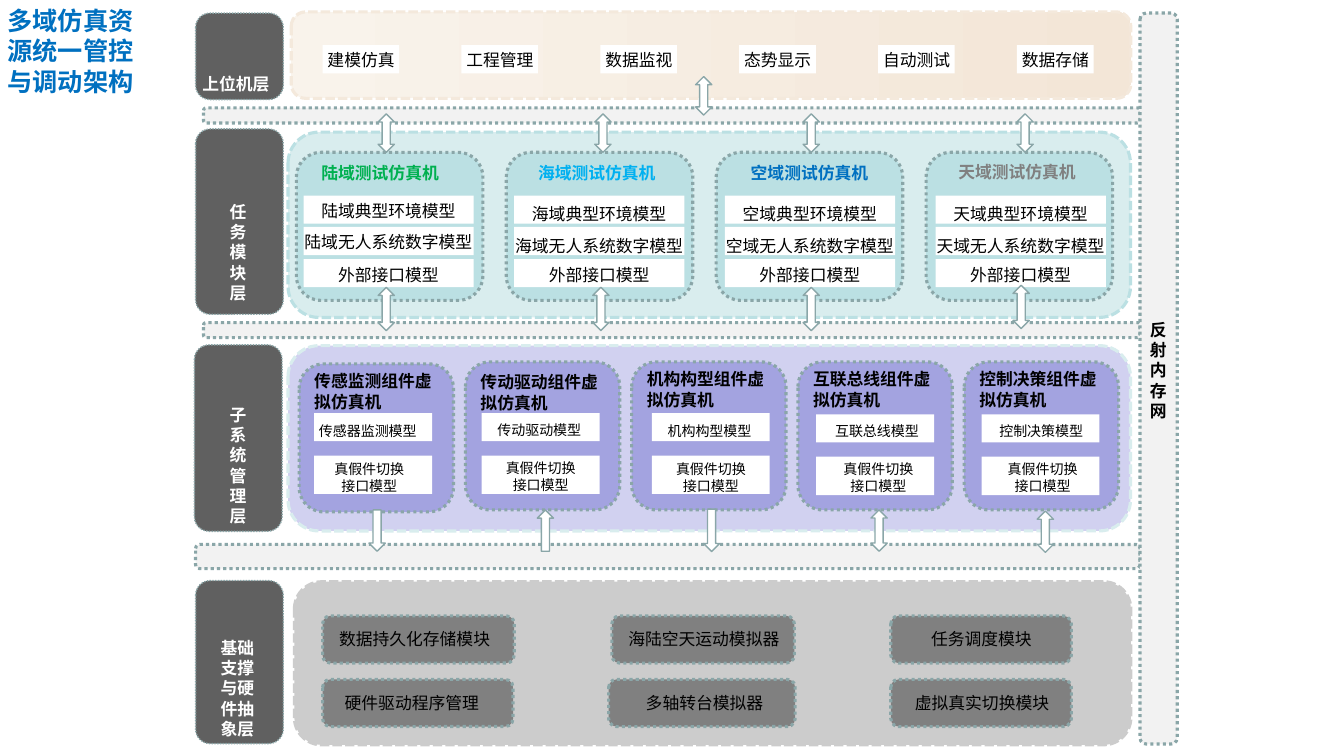
from dataclasses import dataclass
from lxml.etree import SubElement
from pptx import Presentation
from pptx.dml.color import RGBColor
from pptx.enum.dml import MSO_LINE
from pptx.enum.shapes import MSO_SHAPE
from pptx.enum.text import MSO_ANCHOR, PP_ALIGN
from pptx.oxml.ns import qn
from pptx.util import Cm, Pt

WHITE = RGBColor(0xFF, 0xFF, 0xFF)
BLACK = RGBColor(0x00, 0x00, 0x00)
BLUE = RGBColor(0x00, 0x70, 0xC0)
SKY = RGBColor(0x00, 0xB0, 0xF0)
GREEN = RGBColor(0x00, 0xB0, 0x50)
GREY = RGBColor(0x80, 0x80, 0x80)
SLATE = RGBColor(0x60, 0x60, 0x60)
SILVER = RGBColor(0xCC, 0xCC, 0xCC)
PALE = RGBColor(0xF2, 0xF2, 0xF2)
EDGE = RGBColor(0x8A, 0xA6, 0xA8)
TEAL = RGBColor(0xBB, 0xE0, 0xE3)
MIST = RGBColor(0xD9, 0xED, 0xEE)
LILAC = RGBColor(0xD1, 0xD1, 0xF0)
VIOLET = RGBColor(0xA3, 0xA3, 0xE0)
CREAM = RGBColor(0xF9, 0xF3, 0xEB)
SAND = RGBColor(0xF3, 0xE6, 0xD7)
TAN = RGBColor(0xF4, 0xE9, 0xDC)

HEAD, BODY = "Arial", "Noto Sans CJK SC"
ROUND, RECT = MSO_SHAPE.ROUNDED_RECTANGLE, MSO_SHAPE.RECTANGLE
DOWN, BOTH = MSO_SHAPE.DOWN_ARROW, MSO_SHAPE.UP_DOWN_ARROW
DOT, DASH = MSO_LINE.ROUND_DOT, MSO_LINE.SQUARE_DOT


@dataclass
class Area:
    """Left, top, width and height in centimetres."""
    x: float
    y: float
    w: float
    h: float

    def size(self) -> tuple:
        return Cm(self.x), Cm(self.y), Cm(self.w), Cm(self.h)


@dataclass
class Layer:
    side: Area
    band: Area
    fill: RGBColor
    edge: RGBColor
    label: Area
    lines: tuple


@dataclass
class Domain:
    name: str
    color: RGBColor
    x: float
    y: float
    drop: float  # text offset in the first row
    dip: float  # text offset in the second row


@dataclass
class Unit:
    name: str
    model: str
    top: float
    head: float
    box_x: float
    box_y: float
    text_x: float
    text_y: float


@dataclass
class Module:
    name: str
    x: float
    row: int
    w: float
    text_x: float
    text_w: float


@dataclass
class Arrow:
    x: float
    y: float
    h: float
    kind: MSO_SHAPE = BOTH
    turn: int = 0


def draw(slide, kind, area: Area, fill, edge=None, width=2.25, dash=DOT):
    shape = slide.shapes.add_shape(kind, *area.size())
    shape.shadow.inherit = False
    shape.fill.solid()
    shape.fill.fore_color.rgb = fill
    if edge is None:
        shape.line.fill.background()
    else:
        shape.line.color.rgb = edge
        shape.line.width = Pt(width)
        if dash is not None:
            shape.line.dash_style = dash
    return shape


def write(slide, area: Area, *lines: str, size=12, color=BLACK, bold=False,
          align=PP_ALIGN.CENTER, anchor=MSO_ANCHOR.TOP) -> None:
    frame = slide.shapes.add_textbox(*area.size()).text_frame
    frame.word_wrap = True
    frame.vertical_anchor = anchor
    for i, line in enumerate(lines):
        para = frame.add_paragraph() if i else frame.paragraphs[0]
        para.alignment = align
        para.line_spacing = Pt(round(size * 1.21, 1))
        run = para.add_run()
        run.text = line
        font = run.font
        font.size, font.bold = Pt(size), bold
        font.color.rgb = color
        font.name = HEAD if bold else BODY
        SubElement(run._r.get_or_add_rPr(), qn("a:ea"), typeface=font.name)


def title(slide, area: Area, *lines: str, color=BLACK) -> None:
    write(slide, area, *lines, color=color, bold=True, align=PP_ALIGN.LEFT)


LAYERS = [
    Layer(Area(4.93, 0.33, 2.21, 2.18), Area(7.34, 0.3, 21.16, 2.18), CREAM, TAN,
          Area(4.85, 1.73, 2.24, 0.76), ("上位机层",)),
    Layer(Area(4.93, 3.25, 2.21, 4.67), Area(7.26, 3.33, 21.23, 4.67), MIST, TEAL,
          Area(5.54, 4.95, 1.12, 2.24), ("任务模块", "层")),
    Layer(Area(4.9, 8.69, 2.21, 4.7), Area(7.26, 8.71, 21.23, 4.67), LILAC, MIST,
          Area(5.54, 10.06, 0.96, 3.35), ("子", "系统管", "理层")),
    Layer(Area(4.93, 14.63, 2.21, 4.11), Area(7.42, 14.66, 21.08, 4.11), SILVER, SILVER,
          Area(5.31, 15.93, 1.55, 3.35), ("基础支撑与硬件抽象层",)),
]
TOOLS = ["建模仿真", "工程管理", "数据监视", "态势显示", "自动测试", "数据存储"]
DOMAINS = [
    Domain("陆域", GREEN, 7.85, 3.96, 0, 0),
    Domain("海域", SKY, 13.31, 3.96, 0.07, 0.1),
    Domain("空域", BLUE, 18.67, 3.96, 0.07, 0.1),
    Domain("天域", GREY, 23.9, 3.94, 0.07, 0.1),
]
UNITS = [
    Unit("传感监测", "传感器监测", 9.17, 9.22, 7.92, 10.41, 7.72, 10.52),
    Unit("传动驱动", "传动驱动", 9.12, 9.25, 12.14, 10.41, 12.04, 10.49),
    Unit("机构构型", "机构构型", 9.12, 9.17, 16.43, 10.41, 16.33, 10.52),
    Unit("互联总线", "互联总线", 9.12, 9.17, 20.57, 10.44, 20.55, 10.52),
    Unit("控制决策", "控制决策", 9.12, 9.17, 24.74, 10.44, 24.69, 10.52),
]
MODULES = [
    Module("数据持久化存储模块", 8.13, 0, 4.83, 8.15, 4.6),
    Module("硬件驱动程序管理", 8.13, 1, 4.8, 8.08, 4.6),
    Module("海陆空天运动模拟器", 15.42, 0, 4.6, 15.44, 4.6),
    Module("多轴转台模拟器", 15.34, 1, 4.7, 15.95, 3.61),
    Module("任务调度模块", 22.45, 0, 4.55, 22.73, 4.01),
    Module("虚拟真实切换模块", 22.45, 1, 4.55, 22.45, 4.6),
]
BUSES = [
    Area(5.13, 2.72, 23.6, 0.38), Area(5.13, 8.13, 23.6, 0.38),
    Area(4.93, 13.72, 23.8, 0.61), Area(28.73, 0.33, 0.94, 18.42),
]
ARROWS = [
    Arrow(17.53, 1.93, 0.97),
    *(Arrow(x, 2.87, 0.97) for x in (9.53, 14.99, 20.24, 25.63)),
    *(Arrow(x, 7.24, 1.09) for x in (9.53, 14.94, 20.24)),
    Arrow(25.53, 7.19, 1.09),
    Arrow(9.3, 12.85, 1.04, DOWN), Arrow(13.54, 12.85, 1.04, DOWN, 180),
    Arrow(17.73, 12.83, 1.07, DOWN),
    Arrow(21.95, 12.85, 1.04), Arrow(26.14, 12.88, 1.04),
]


def main() -> None:
    deck = Presentation()
    deck.slide_width, deck.slide_height = Cm(33.87), Cm(19.05)
    slide = deck.slides.add_slide(deck.slide_layouts[6])
    write(slide, Area(-0.28, 0, 4.11, 0.91), "多域仿真资源统一管控与调动架构",
          size=18, color=BLUE, bold=True)

    # Layers with their side labels
    for layer in LAYERS:
        draw(slide, ROUND, layer.side, SLATE, EDGE, 1)
        band = draw(slide, ROUND, layer.band, layer.fill, layer.edge, dash=DASH)
        if layer.fill == CREAM:
            band.fill.gradient()
            band.fill.gradient_angle = 0
            for stop, color in zip(band.fill.gradient_stops, (CREAM, SAND)):
                stop.color.rgb = color
        title(slide, layer.label, *layer.lines, color=WHITE)

    # Host tools
    for i, tool in enumerate(TOOLS):
        draw(slide, RECT, Area(8.13 + 3.5 * i, 1.14, 1.93, 0.71), WHITE)
        write(slide, Area(7.92 + 3.5 * i, 1.19, 2.36, 0.64), tool, anchor=MSO_ANCHOR.MIDDLE)

    # Domain simulators
    for i, dom in enumerate(DOMAINS):
        draw(slide, ROUND, Area(7.47 + 5.29 * i, 3.84, 4.7, 3.73), TEAL, EDGE)
        title(slide, Area(dom.x, dom.y, 3.53, 0.76), dom.name + "测试仿真机", color=dom.color)
        x = 7.65 + 5.31 * i
        rows = [(4.93, dom.drop, dom.name + "典型环境模型"),
                (5.72, dom.dip, dom.name + "无人系统数字模型"),
                (6.53, 0, "外部接口模型")]
        for y, shift, text in rows:
            draw(slide, RECT, Area(x, y, 4.29, 0.71), WHITE)
            write(slide, Area(x - 0.25, y + shift, 4.78, 0.64), text)

    # Component simulators
    for i, unit in enumerate(UNITS):
        x = 7.54 + 4.19 * i
        draw(slide, ROUND, Area(x, unit.top, 3.89, 3.73), VIOLET, EDGE)
        title(slide, Area(x + 0.13, unit.head, 3.53, 1.27), unit.name + "组件虚拟仿真机")
        draw(slide, RECT, Area(unit.box_x, unit.box_y, 2.97, 0.71), WHITE)
        draw(slide, RECT, Area(unit.box_x, unit.box_y + 1.07, 2.97, 0.97), WHITE)
        write(slide, Area(unit.text_x, unit.text_y, 3.1, 0.64), unit.model + "模型", size=10)
        write(slide, Area(unit.text_x + 0.2, unit.text_y + 0.96, 2.77, 0.64),
              "真假件切换", "接口模型", size=10)

    # Memory network and arrows
    for bus in BUSES:
        draw(slide, ROUND, bus, PALE, EDGE)
    title(slide, Area(28.73, 7.92, 1.12, 2.24), "反射内存网")
    for arrow in ARROWS:
        area = Area(arrow.x, arrow.y, 0.41, arrow.h)
        draw(slide, arrow.kind, area, WHITE, EDGE, 1, None).rotation = arrow.turn

    # Hardware modules
    for mod in MODULES:
        y = 15.52 + 1.6 * mod.row
        draw(slide, ROUND, Area(mod.x, y, mod.w, 1.19), GREY, EDGE)
        write(slide, Area(mod.text_x, y + 0.2, mod.text_w, 0.76), mod.name)

    deck.save("out.pptx")


if __name__ == "__main__":
    main()
